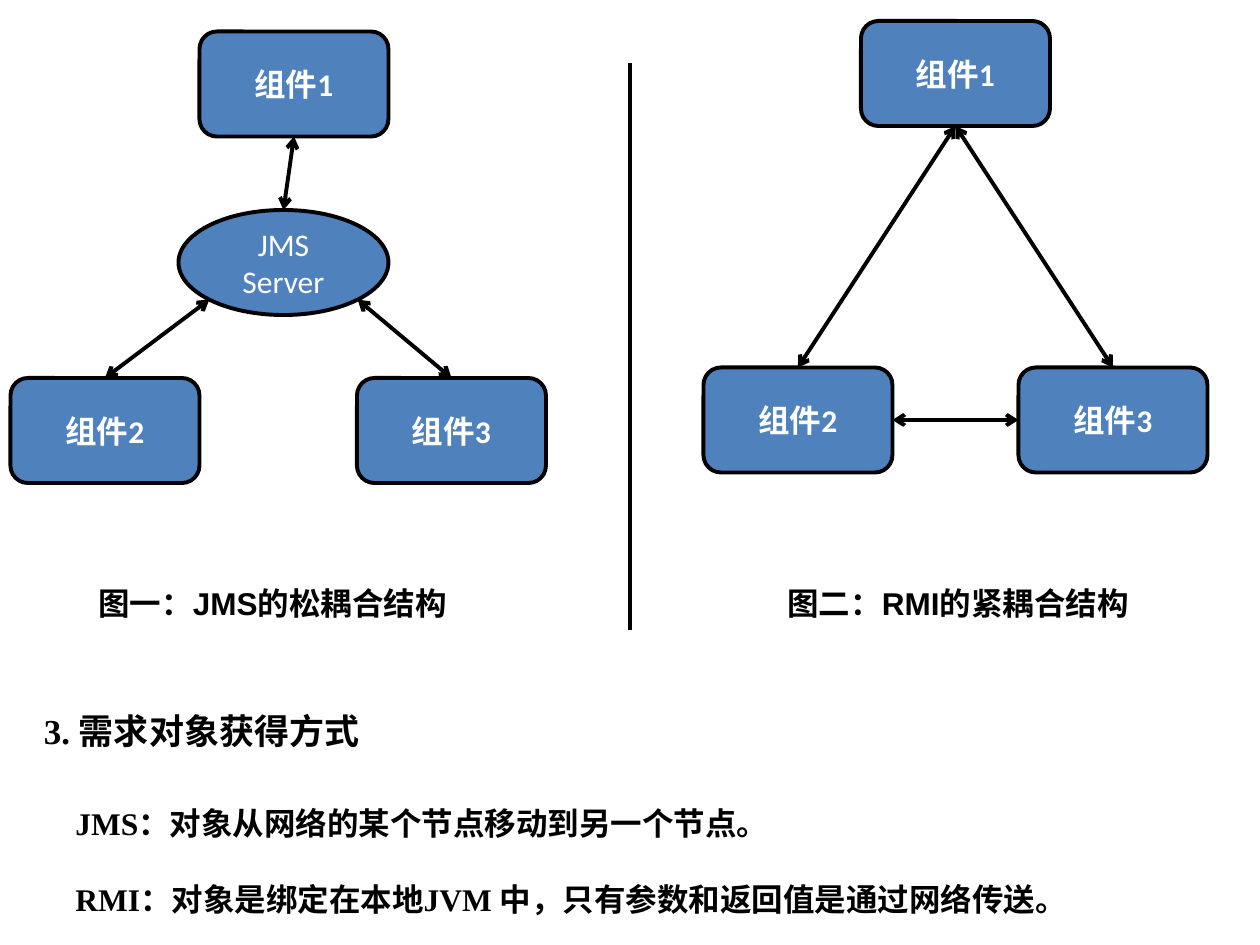
from math import sqrt
from lxml import etree
from pptx import Presentation
from pptx.dml.color import RGBColor
from pptx.enum.shapes import MSO_CONNECTOR, MSO_SHAPE
from pptx.enum.text import MSO_ANCHOR, MSO_AUTO_SIZE, PP_ALIGN
from pptx.oxml.ns import qn
from pptx.util import Inches, Pt

BLUE = RGBColor(0x4F, 0x81, 0xBD)
BLACK = RGBColor(0, 0, 0)
WHITE = RGBColor(255, 255, 255)
ROUND, OVAL = MSO_SHAPE.ROUNDED_RECTANGLE, MSO_SHAPE.OVAL
LINE = MSO_CONNECTOR.STRAIGHT
CENTER, MIDDLE = PP_ALIGN.CENTER, MSO_ANCHOR.MIDDLE
GROW = MSO_AUTO_SIZE.SHAPE_TO_FIT_TEXT
TOP, LEFT, BOTTOM, RIGHT = range(4)

deck = Presentation()
deck.slide_width, deck.slide_height = Inches(10), Inches(7.5)
slide = deck.slides.add_slide(deck.slide_layouts[6])
shapes = slide.shapes
UNIT = deck.slide_width / 120


def grid(*cells):
    return [round(cell * UNIT) for cell in cells]


def link(ends, heads=True):
    wire = shapes.add_connector(LINE, *grid(*ends))
    wire.line.color.rgb = BLACK
    wire.line.width = Pt(2.25)
    props = wire.line._get_or_add_ln()
    if heads:
        for tag in ("a:headEnd", "a:tailEnd"):
            etree.SubElement(props, qn(tag), type="arrow")
    etree.SubElement(props.getparent(), qn("a:effectLst"))
    return wire


nodes = {}
for key, kind, col, row, wide, text in (
    ("J1", ROUND, 19, 3, 18, "组件1"),
    ("J2", ROUND, 1, 36, 18, "组件2"),
    ("J3", ROUND, 34, 36, 18, "组件3"),
    ("JMS", OVAL, 17, 20, 20, "JMS Server"),
    ("R1", ROUND, 82, 2, 18, "组件1"),
    ("R2", ROUND, 67, 35, 18, "组件2"),
    ("R3", ROUND, 97, 35, 18, "组件3"),
):
    node = shapes.add_shape(kind, *grid(col, row, wide, 10))
    node.shadow.inherit = False
    node.fill.solid()
    node.fill.fore_color.rgb = BLUE
    node.line.color.rgb = BLACK
    node.line.width = Pt(2.25)
    frame = node.text_frame
    frame.word_wrap = True
    frame.vertical_anchor = MIDDLE
    para = frame.paragraphs[0]
    para.text = text
    para.alignment = CENTER
    para.font.name = "Calibri"
    para.font.size = Pt(18)
    para.font.bold = kind == ROUND
    para.font.color.rgb = WHITE
    nodes[key] = node

link((60, 6, 60, 60), heads=False)

for side, key, end in ((-1, "J2", 10), (1, "J3", 43)):
    wire = link((27 + side * 10 / sqrt(2), 25 + 5 / sqrt(2), end, 36))
    wire.end_connect(nodes[key], TOP)

for start, exit, stop, entry in (
    ("J1", BOTTOM, "JMS", TOP),
    ("R1", BOTTOM, "R2", TOP),
    ("R2", RIGHT, "R3", LEFT),
    ("R1", BOTTOM, "R3", TOP),
):
    wire = link((0, 0, 0, 0))
    wire.begin_connect(nodes[start], exit)
    wire.end_connect(nodes[stop], entry)

for place, wrap, face, size, lines in (
    ((8.2, 55, 37, 4.8), False, "Arial", 18, ["图一：JMS的松耦合结构"]),
    ((73.8, 55, 36.4, 4.8), False, "Arial", 18, ["图二：RMI的紧耦合结构"]),
    ((3, 67, 33.5, 5.3), True, "Times New Roman", 20, ["3. 需求对象获得方式"]),
    ((6, 76, 105, 12), True, "Times New Roman", 18, [
        "JMS：对象从网络的某个节点移动到另一个节点。",
        "RMI：对象是绑定在本地JVM 中，只有参数和返回值是通过网络传送。",
    ]),
):
    frame = shapes.add_textbox(*grid(*place)).text_frame
    frame.word_wrap = wrap
    frame.auto_size = GROW
    frame.text = "\n".join(lines)
    for rank, para in enumerate(frame.paragraphs):
        para.space_before = Pt(21.5 * rank)
        para.font.name = face
        para.font.size = Pt(size)
        para.font.bold = True
        para.font.color.rgb = BLACK

deck.save("out.pptx")
